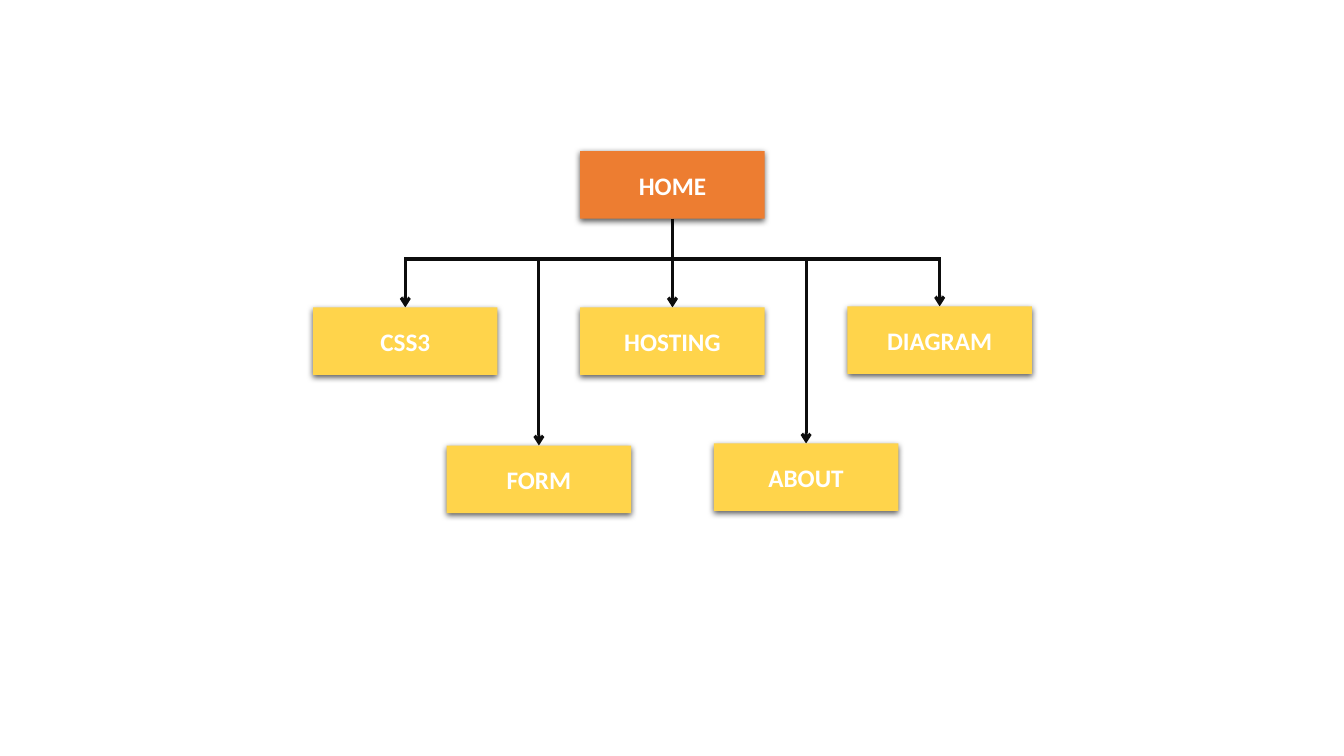
"""Build a one-slide site map: a home page with five pages below it."""
from dataclasses import dataclass

import pptx
import pptx.dml.color
import pptx.enum.shapes
import pptx.enum.text
import pptx.oxml
import pptx.oxml.ns
import pptx.util
from pptx.util import Inches


@dataclass(frozen=True)
class Theme:
    """Colours and type of the slide."""
    home: str = "ED7D31"
    child: str = "FFD44B"
    line: str = "0D0D0D"
    text: str = "FFFFFF"
    shadow: str = "000000"
    font: str = "Calibri"
    text_size: float = 18
    line_width: float = 2.25


@dataclass(frozen=True)
class SitePage:
    """One box of the site map, placed by its centre and top in inches."""
    label: str
    center: float
    top: float
    fill: str


THEME = Theme()
BOX_WIDTH, BOX_HEIGHT = 1.83, 0.67
HOME_TOP, BUS_TOP = 1.5, 2.57
FIRST_CENTER, LAST_CENTER = 4.02, 9.32
MIDDLE = (FIRST_CENTER + LAST_CENTER) / 2
CHILD_TOPS = {"CSS3": 3.05, "FORM": 4.42, "HOSTING": 3.05, "ABOUT": 4.4, "DIAGRAM": 3.04}
COLUMN_STEP = (LAST_CENTER - FIRST_CENTER) / (len(CHILD_TOPS) - 1)

HOME = SitePage("HOME", MIDDLE, HOME_TOP, THEME.home)
CHILDREN = [
    SitePage(label, FIRST_CENTER + column * COLUMN_STEP, top, THEME.child)
    for column, (label, top) in enumerate(CHILD_TOPS.items())
]


def rgb(value: str) -> pptx.dml.color.RGBColor:
    """Return the colour for a hex string."""
    return pptx.dml.color.RGBColor.from_string(value)


def add_shadow(shape: pptx.shapes.autoshape.Shape) -> None:
    """Give a shape a soft shadow straight below it."""
    shape.shadow.inherit = False
    effects = shape.element.spPr.find(pptx.oxml.ns.qn("a:effectLst"))
    blur, distance = pptx.util.Pt(4.5), pptx.util.Pt(1.5)
    effects.append(pptx.oxml.parse_xml(
        f'<a:outerShdw {pptx.oxml.ns.nsdecls("a")} blurRad="{blur}" dist="{distance}" '
        f'dir="5400000" algn="ctr" rotWithShape="0"><a:srgbClr val="{THEME.shadow}">'
        '<a:alpha val="63000"/></a:srgbClr></a:outerShdw>'))


def add_box(page: pptx.slide.Slide, item: SitePage) -> None:
    """Draw one labelled box."""
    box = page.shapes.add_shape(
        pptx.enum.shapes.MSO_SHAPE.RECTANGLE,
        Inches(item.center - BOX_WIDTH / 2), Inches(item.top),
        Inches(BOX_WIDTH), Inches(BOX_HEIGHT))
    box.fill.solid()
    box.fill.fore_color.rgb = rgb(item.fill)
    box.line.fill.background()
    add_shadow(box)
    box.text_frame.vertical_anchor = pptx.enum.text.MSO_ANCHOR.MIDDLE
    para = box.text_frame.paragraphs[0]
    para.alignment = pptx.enum.text.PP_ALIGN.CENTER
    span = para.add_run()
    span.text = item.label
    span.font.name = THEME.font
    span.font.size = pptx.util.Pt(THEME.text_size)
    span.font.bold = True
    span.font.color.rgb = rgb(THEME.text)


def add_line(page: pptx.slide.Slide, start: tuple[float, float],
             end: tuple[float, float], arrow: bool = False) -> None:
    """Draw a straight line, with an arrowhead at its end if asked."""
    line = page.shapes.add_connector(
        pptx.enum.shapes.MSO_CONNECTOR.STRAIGHT,
        *(Inches(value) for value in (*start, *end)))
    line.line.color.rgb = rgb(THEME.line)
    line.line.width = pptx.util.Pt(THEME.line_width)
    if arrow:
        line.element.spPr.find(pptx.oxml.ns.qn("a:ln")).append(pptx.oxml.parse_xml(
            f'<a:tailEnd {pptx.oxml.ns.nsdecls("a")} type="arrow"/>'))
    line.element.spPr.append(pptx.oxml.parse_xml(
        f'<a:effectLst {pptx.oxml.ns.nsdecls("a")}/>'))


def build() -> None:
    """Build and save the deck."""
    deck = pptx.Presentation()
    deck.slide_width, deck.slide_height = Inches(13.33), Inches(7.5)
    page = deck.slides.add_slide(deck.slide_layouts[6])
    add_line(page, (FIRST_CENTER - 0.01, BUS_TOP), (LAST_CENTER + 0.01, BUS_TOP))
    for item in CHILDREN:
        start = HOME_TOP + BOX_HEIGHT if item.label == "HOSTING" else BUS_TOP
        add_line(page, (item.center, start), (item.center, item.top), arrow=True)
    for item in (HOME, *CHILDREN):
        add_box(page, item)
    deck.save("out.pptx")


build()
